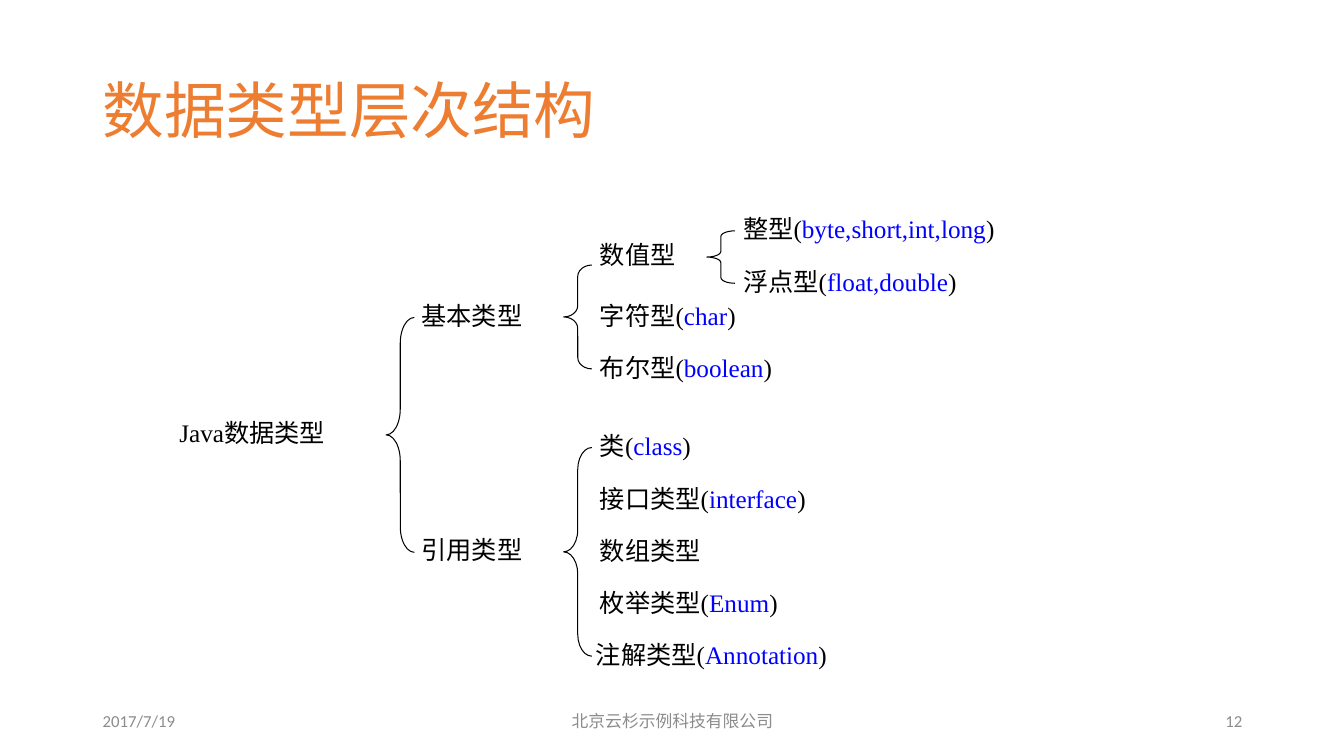
from pptx import Presentation
from pptx.dml.color import RGBColor
from pptx.enum.shapes import MSO_SHAPE
from pptx.enum.text import MSO_ANCHOR, PP_ALIGN
from pptx.oxml.ns import qn
from pptx.util import Inches, Pt

ORANGE = RGBColor(0xED, 0x7D, 0x31)
GREY = RGBColor(0x8C, 0x8C, 0x8C)
BLACK = RGBColor(0x00, 0x00, 0x00)
BLUE = RGBColor(0x00, 0x00, 0xFF)

CHINESE_FONT = "Noto Sans CJK SC"
ROW_STEP = 0.52
LEAF_LEFT = 5.87
NUMERIC_LEFT = 7.29


def add_span(para, text, size, font, color):
    span = para.add_run()
    span.text = text
    span.font.size = Pt(size)
    span.font.name = font
    span.font.color.rgb = color
    east_asian = span.font._element.makeelement(qn("a:ea"), {"typeface": CHINESE_FONT})
    span.font._element.find(qn("a:latin")).addnext(east_asian)


def add_text(page, spans, left, top, width, height, size=18, font="Times New Roman",
             align=PP_ALIGN.LEFT, anchor=MSO_ANCHOR.MIDDLE,
             insets=(0.1, 0.05, 0.1, 0.05), line_spacing=None):
    """Add a text box; spans is a list of (text, color) pairs."""
    box = page.shapes.add_textbox(Inches(left), Inches(top), Inches(width), Inches(height))
    frame = box.text_frame
    frame.word_wrap = True
    frame.vertical_anchor = anchor
    (frame.margin_left, frame.margin_top,
     frame.margin_right, frame.margin_bottom) = map(Inches, insets)
    para = frame.paragraphs[0]
    para.alignment = align
    para.line_spacing = line_spacing
    for text, color in spans:
        add_span(para, text, size, font, color)


def add_type(page, name, left, top, width, keywords=None, height=0.34, insets=(0.08, 0, 0, 0)):
    """Add a type name, with its Java keywords in blue between brackets."""
    spans = [(name, BLACK)]
    if keywords:
        spans = [(name + "(", BLACK), (keywords, BLUE), (")", BLACK)]
    add_text(page, spans, left, top, width, height, align=PP_ALIGN.JUSTIFY,
             anchor=MSO_ANCHOR.TOP, insets=insets)


def add_brace(page, left, top, height, curve):
    brace = page.shapes.add_shape(MSO_SHAPE.LEFT_BRACE, Inches(left), Inches(top),
                                  Inches(0.28), Inches(height))
    brace.shadow.inherit = False
    brace.fill.background()
    brace.line.color.rgb = BLACK
    brace.line.width = Pt(0.75)
    brace.adjustments[0] = curve
    brace.adjustments[1] = 0.5


def add_footer(page, text, left, width, align, font="Calibri"):
    add_text(page, [(text, GREY)], left, 6.95, width, 0.4, size=12, font=font, align=align)


def main():
    deck = Presentation()
    deck.slide_width = Inches(13.33)
    deck.slide_height = Inches(7.5)
    page = deck.slides.add_slide(deck.slide_layouts[6])

    # Title
    add_text(page, [("数据类型层次结构", ORANGE)], 0.92, 0.4, 8.69, 1.45,
             size=44, font=CHINESE_FONT, line_spacing=0.9)

    # Root and its two branches
    add_type(page, "Java数据类型", 1.72, 4.1, 2.1, height=0.51, insets=(0.06, 0.04, 0, 0))
    add_type(page, "基本类型", 4.1, 2.98, 2)
    add_type(page, "引用类型", 4.1, 5.3, 2.28)

    # Primitive types
    add_type(page, "数值型", LEAF_LEFT, 2.29, 1.71, insets=(0.08, 0.08, 0, 0))
    primitives = [("字符型", "char"), ("布尔型", "boolean")]
    for row, (name, keywords) in enumerate(primitives):
        add_type(page, name, LEAF_LEFT, 2.98 + row * ROW_STEP, 3.41, keywords)

    # Numeric types
    numerics = [("整型", "byte,short,int,long"), ("浮点型", "float,double")]
    for row, (name, keywords) in enumerate(numerics):
        add_type(page, name, NUMERIC_LEFT, 2.12 + row * ROW_STEP, 3.98, keywords)

    # Reference types
    references = [("类", "class"), ("接口类型", "interface"), ("数组类型", None),
                  ("枚举类型", "Enum")]
    for row, (name, keywords) in enumerate(references):
        add_type(page, name, LEAF_LEFT, 4.27 + row * ROW_STEP, 3.85, keywords)
    add_type(page, "注解类型", 5.82, 6.34, 4.24, "Annotation", insets=(0.09, 0, 0, 0))

    # Braces: left, top, height, curve
    for brace in [(3.83, 3.15, 2.33, 0.915), (5.59, 2.63, 1.03, 0.403),
                  (7.01, 2.29, 0.52, 0.202), (5.59, 4.44, 2.07, 0.781)]:
        add_brace(page, *brace)

    # Footer
    add_footer(page, "2017/7/19", 0.92, 3, PP_ALIGN.LEFT)
    add_footer(page, "北京云杉示例科技有限公司", 4.42, 4.5, PP_ALIGN.CENTER, font=CHINESE_FONT)
    add_footer(page, "12", 9.42, 3, PP_ALIGN.RIGHT)

    deck.save("out.pptx")


if __name__ == "__main__":
    main()
